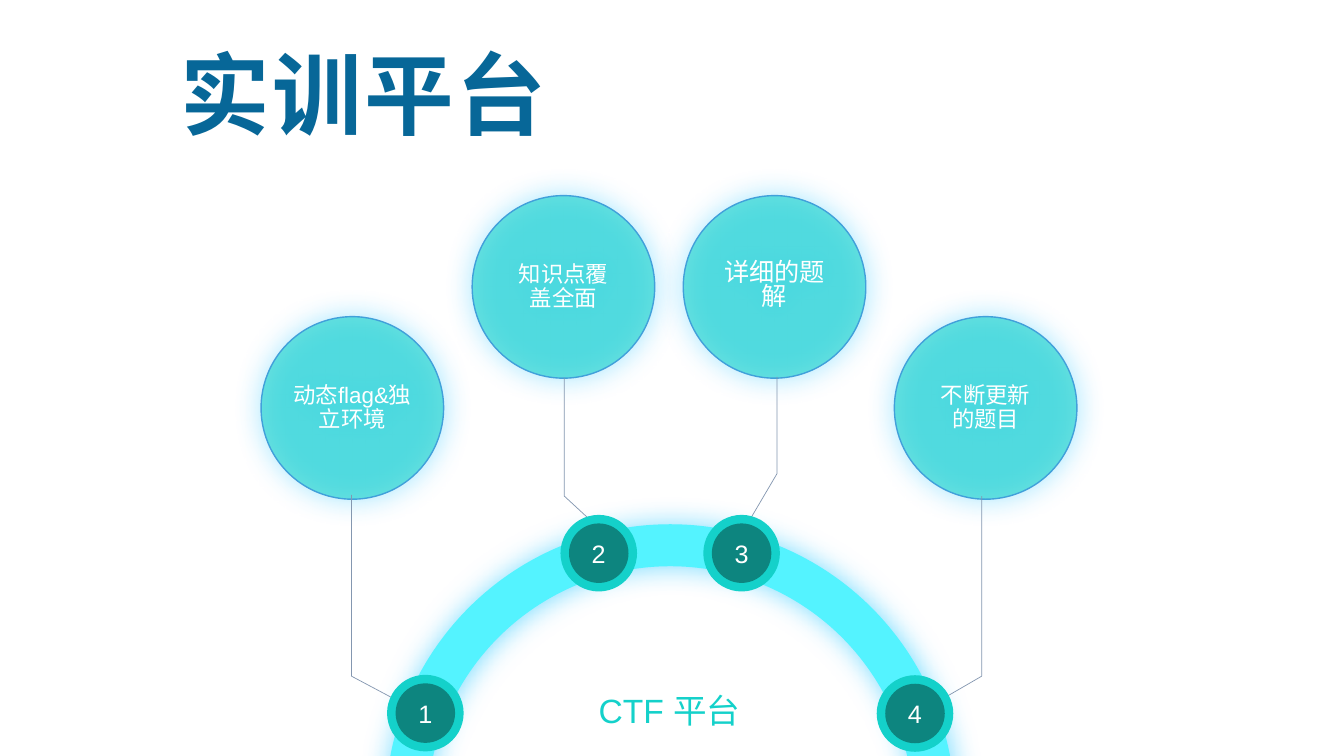
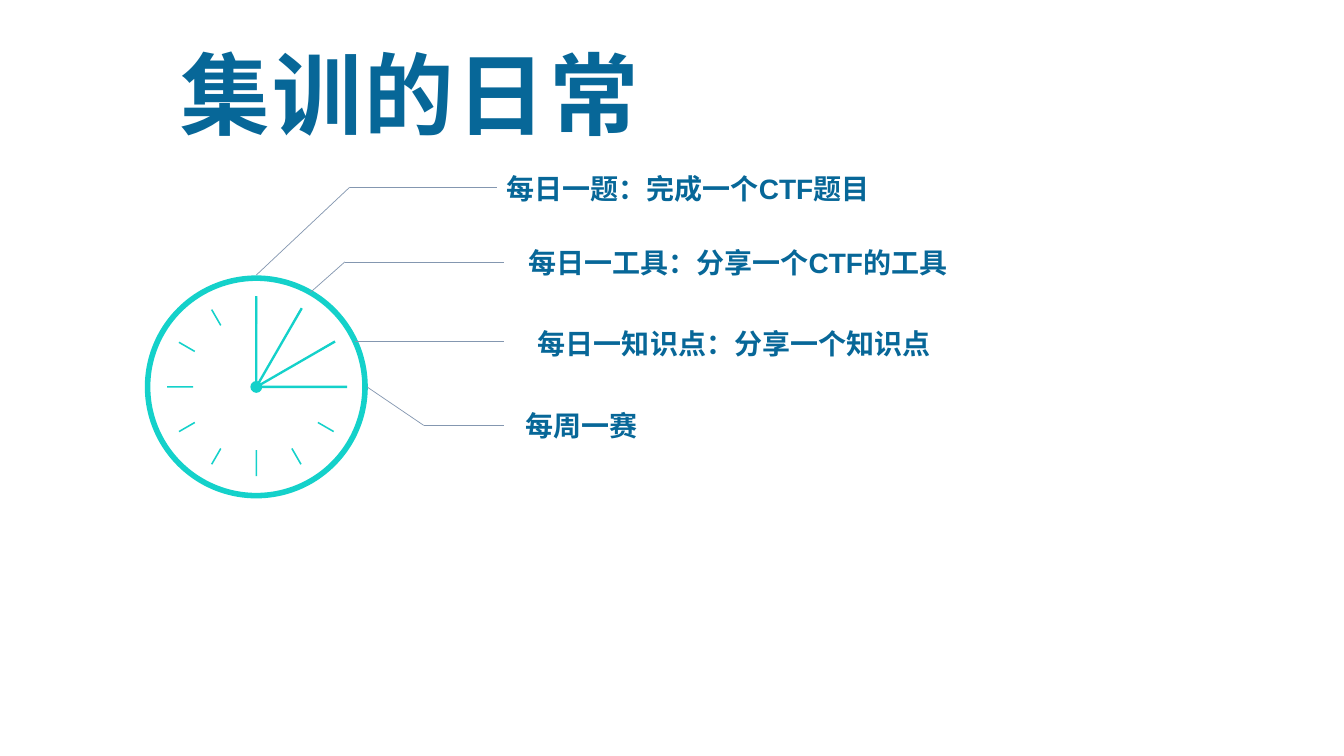
import math

import pptx
import pptx.dml.color
import pptx.enum.shapes
import pptx.enum.text
import pptx.oxml
import pptx.oxml.ns
import pptx.util

Cm = pptx.util.Cm
Pt = pptx.util.Pt
rgb = pptx.dml.color.RGBColor.from_string
qn = pptx.oxml.ns.qn
SHAPE = pptx.enum.shapes.MSO_SHAPE
CENTER = pptx.enum.text.PP_ALIGN.CENTER
MIDDLE = pptx.enum.text.MSO_ANCHOR.MIDDLE
GROW = pptx.enum.text.MSO_AUTO_SIZE.SHAPE_TO_FIT_TEXT

TEAL, DARK_TEAL, CYAN = "14D1CA", "0D857F", "54F3FF"
NAVY, GREY, BLUE, WHITE = "076798", "8497B0", "41A0DA", "FFFFFF"
GLOW = (
    '<a:outerShdw xmlns:a="http://schemas.openxmlformats.org/drawingml/2006/main" '
    'blurRad="254000" dist="0" dir="0" algn="ctr" rotWithShape="0">'
    '<a:srgbClr val="53D2FF"><a:alpha val="80000"/></a:srgbClr></a:outerShdw>'
)


def write(sp, text, size, color, font="Arial", bold=False, align=None,
          anchor=None, leading=None, side=0.25, grow=False):
    """Put one formatted paragraph into a shape and return its run."""
    tf = sp.text_frame
    tf.word_wrap = True
    tf.margin_left = tf.margin_right = Cm(side)
    if anchor is not None:
        tf.vertical_anchor = anchor
    if grow:
        tf.auto_size = GROW
    p = tf.paragraphs[0]
    p.alignment = align
    if leading:
        p.line_spacing = Pt(leading)
    r = p.add_run()
    r.text = text
    r.font.name, r.font.size, r.font.bold = font, Pt(size), bold
    r.font.color.rgb = rgb(color)
    return r


def centred(s, kind, cx, cy, w, h, fill=None, line=None, weight=1):
    """Add a preset shape around a centre point."""
    sp = s.shapes.add_shape(kind, Cm(cx - w / 2), Cm(cy - h / 2), Cm(w), Cm(h))
    sp.shadow.inherit = False
    if fill:
        sp.fill.solid()
        sp.fill.fore_color.rgb = rgb(fill)
    else:
        sp.fill.background()
    if line:
        sp.line.color.rgb = rgb(line)
        sp.line.width = Pt(weight)
    else:
        sp.line.fill.background()
    return sp


prs = pptx.Presentation()
prs.slide_width, prs.slide_height = Cm(33.87), Cm(19.05)
slides = []
for title in ("实训平台", "集训的日常"):
    s = prs.slides.add_slide(prs.slide_layouts[6])
    box = s.shapes.add_textbox(Cm(4.29), Cm(0.86), Cm(16.87), Cm(3))
    r = write(box, title, 64, NAVY, font="Calibri", bold=True, grow=True)
    r.font._element.set("spc", "200")
    slides.append(s)
platform, daily = slides

# Platform: an arch with four numbered features
arch = centred(platform, SHAPE.ARC, 16.89, 20.39, 13.3, 13.3, line=CYAN, weight=30)
arch.adjustments[0], arch.adjustments[1] = 108, 0  # 180° to 0°
glowing = [arch]

features = [
    # text, size, side inset, bubble top, leader points, badge centre
    ("动态flag&独立环境", 16, 0, 7.98,
     [(10.44, 17.88), (8.86, 17.04), (8.86, 12.47)], (10.72, 17.97)),
    ("知识点覆盖全面", 16, 0.25, 4.93,
     [(15.01, 13.23), (14.22, 12.5), (14.22, 9.52)], (15.09, 13.94)),
    ("详细的题解", 18, 0.25, 4.93,
     [(18.85, 13.18), (19.58, 11.94), (19.58, 9.5)], (18.69, 13.94)),
    ("不断更新的题目", 16, 0.25, 7.98,
     [(23.29, 17.88), (24.74, 17.04), (24.74, 12.5)], (23.06, 17.98)),
]
for i, (text, size, side, top, points, badge) in enumerate(features):
    bubble = centred(platform, SHAPE.OVAL, 8.88 + 5.32 * i, top + 2.3, 4.6, 4.6,
                     TEAL, BLUE)
    color = bubble._element.spPr.find(qn("a:solidFill")).find(qn("a:srgbClr"))
    color.append(color.makeelement(qn("a:alpha"), {"val": "60000"}))
    write(bubble, text, size, WHITE, align=CENTER, anchor=MIDDLE,
          leading=17, side=side)
    glowing.append(bubble)

    start, *rest = [(Cm(x), Cm(y)) for x, y in points]
    fb = platform.shapes.build_freeform(*start)
    fb.add_line_segments(rest, close=False)
    leader = fb.convert_to_shape()
    leader.shadow.inherit = False
    leader.fill.background()
    leader.line.color.rgb = rgb(GREY)
    leader.line.width = Pt(0.5)

    centred(platform, SHAPE.OVAL, *badge, 1.93, 1.93, TEAL)
    disc = centred(platform, SHAPE.OVAL, *badge, 1.5, 1.5, DARK_TEAL)
    write(disc, str(i + 1), 18, WHITE, align=CENTER, anchor=MIDDLE)

for sp in glowing:
    effects = sp._element.spPr.find(qn("a:effectLst"))
    effects.append(pptx.oxml.parse_xml(GLOW))

box = platform.shapes.add_textbox(Cm(13.94), Cm(17.25), Cm(5.87), Cm(1.22))
r = write(box, "CTF 平台", 24, TEAL, align=CENTER, grow=True)
r.font.fill.gradient()
r.font.fill.gradient_angle = 270
for stop, color in zip(r.font.fill.gradient_stops, (TEAL, CYAN)):
    stop.color.rgb = rgb(color)

# Daily routine: a clock with four hands and their labels
CX, CY = 6.46, 9.75
ring = centred(daily, SHAPE.DONUT, CX, CY, 5.62, 5.62, TEAL)
ring.adjustments[0] = 0.025

bars = []  # angle, outer radius, length, thickness
for hour in range(12):
    bars.append((30 * hour, 2.25, 0.46 if hour % 3 else 0.66, 0.04))
for hour in range(4):
    bars.append((30 * hour, 2.29, 2.29, 0.06))
for angle, outer, length, thickness in bars:
    radius = outer - length / 2
    turn = math.radians(angle)
    bar = centred(daily, SHAPE.RECTANGLE, CX + radius * math.sin(turn),
                  CY - radius * math.cos(turn), thickness, length, TEAL)
    bar.rotation = angle
centred(daily, SHAPE.OVAL, CX, CY, 0.3, 0.3, TEAL)

routines = [
    # text, left, top, width, leader points
    ("每日一题：完成一个CTF题目", 12.47, 4.19, 9.73,
     [(6.46, 6.93), (8.81, 4.72), (12.52, 4.72)]),
    ("每日一工具：分享一个CTF的工具", 13, 6.05, 11.18,
     [(7.82, 7.37), (8.69, 6.6), (12.7, 6.6)]),
    ("每日一知识点：分享一个知识点", 13.26, 8.1, 10.49,
     [(8.94, 8.61), (12.7, 8.61)]),
    ("每周一赛", 12.98, 10.16, 3.35,
     [(9.25, 9.75), (10.68, 10.72), (12.7, 10.72)]),
]
for text, left, top, width, points in routines:
    for (x1, y1), (x2, y2) in zip(points, points[1:]):
        line = daily.shapes.add_connector(
            pptx.enum.shapes.MSO_CONNECTOR.STRAIGHT, Cm(x1), Cm(y1), Cm(x2), Cm(y2))
        line.line.color.rgb = rgb(GREY)
        line.line.width = Pt(0.5)
        spPr = line._element.spPr
        spPr.append(spPr.makeelement(qn("a:effectLst"), {}))
    box = daily.shapes.add_textbox(Cm(left), Cm(top), Cm(width), Cm(1.12))
    write(box, text, 20, NAVY, bold=True, align=CENTER, grow=True)

prs.save("out.pptx")
